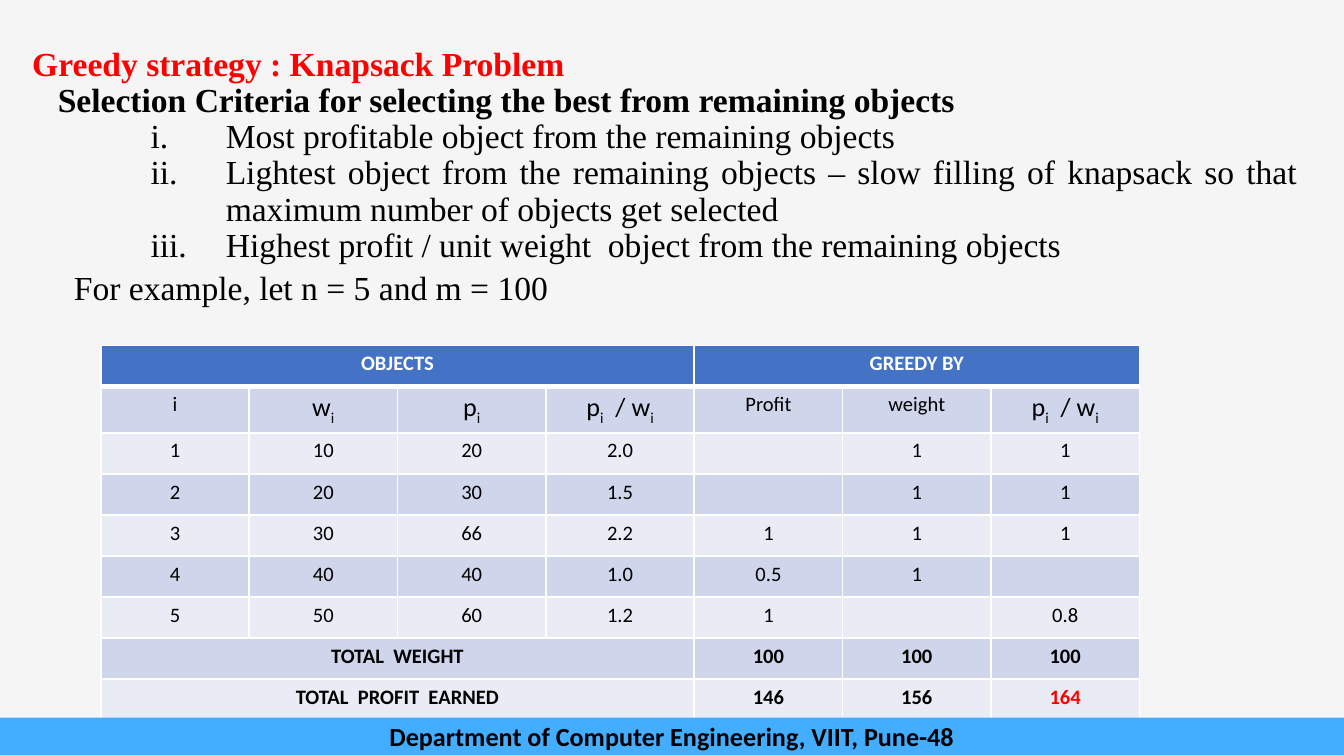
from dataclasses import dataclass

from lxml import etree
from pptx import Presentation
from pptx.dml.color import RGBColor
from pptx.enum.shapes import MSO_SHAPE
from pptx.enum.text import MSO_ANCHOR, PP_ALIGN
from pptx.oxml.ns import qn
from pptx.util import Inches, Pt

RECTANGLE = MSO_SHAPE.RECTANGLE
LEFT, CENTER, JUSTIFY = PP_ALIGN.LEFT, PP_ALIGN.CENTER, PP_ALIGN.JUSTIFY
TOP, MIDDLE = MSO_ANCHOR.TOP, MSO_ANCHOR.MIDDLE


@dataclass(frozen=True)
class Theme:
    background: str = "F5F5F5"
    black: str = "000000"
    white: str = "FFFFFF"
    red: str = "FF0000"
    header: str = "4472C4"
    dark_band: str = "CFD5EA"
    light_band: str = "E9EBF5"
    footer: str = "43AEFF"
    serif: str = "Times New Roman"
    sans: str = "Calibri"
    body_size: int = 18
    large_size: int = 14
    cell_size: int = 11


THEME = Theme()


@dataclass(frozen=True)
class Line:
    text: str
    bold: bool = False
    color: str = THEME.black
    align: PP_ALIGN = JUSTIFY
    margin: float = 0
    indent: float = 0
    before: float = 0
    numbered: bool = False


def criterion(text: str) -> Line:
    return Line(text, margin=1.44, indent=-0.56, numbered=True)


LINES = [
    Line("Greedy strategy : Knapsack Problem", True, THEME.red, LEFT),
    Line("Selection Criteria for selecting the best from remaining objects", True, margin=0.19),
    criterion("Most profitable object from the remaining objects"),
    criterion("Lightest object from the remaining objects – slow filling of knapsack "
              "so that maximum number of objects get selected"),
    criterion("Highest profit / unit weight  object from the remaining objects"),
    Line("For example, let n = 5 and m = 100", margin=0.31, before=3.8),
]

# An underscore marks the next letter as a subscript.
ROWS = [
    ["OBJECTS", "", "", "", "GREEDY BY", "", ""],
    ["i", "w_i", "p_i", "p_i  / w_i", "Profit", "weight", "p_i  / w_i"],
    ["1", "10", "20", "2.0", "", "1", "1"],
    ["2", "20", "30", "1.5", "", "1", "1"],
    ["3", "30", "66", "2.2", "1", "1", "1"],
    ["4", "40", "40", "1.0", "0.5", "1", ""],
    ["5", "50", "60", "1.2", "1", "", "0.8"],
    ["TOTAL  WEIGHT", "", "", "", "100", "100", "100"],
    ["TOTAL  PROFIT  EARNED", "", "", "", "146", "156", "164"],
]
MERGES = [(0, 0, 3), (0, 4, 6), (7, 0, 3), (8, 0, 3)]
TOTAL_ROWS = (7, 8)
BEST_CELL = (8, 6)


def set_font(target, font: str, size: float, color: str, bold: bool = False) -> None:
    for name, value in {"name": font, "size": Pt(size), "bold": bold}.items():
        setattr(target.font, name, value)
    target.font.color.rgb = RGBColor.from_string(color)


def set_fill(target, color: str) -> None:
    target.fill.solid()
    target.fill.fore_color.rgb = RGBColor.from_string(color)


def set_insets(frame, horizontal: float, vertical: float) -> None:
    for side, value in {"left": horizontal, "right": horizontal,
                        "top": vertical, "bottom": vertical}.items():
        setattr(frame, f"margin_{side}", Inches(value))


def add_criteria(slide) -> None:
    box = slide.shapes.add_textbox(Inches(0.17), Inches(0.31), Inches(9.56), Inches(5.11))
    frame = box.text_frame
    frame.word_wrap = True
    frame.vertical_anchor = TOP
    set_insets(frame, 0.07, 0.04)
    for index, line in enumerate(LINES):
        para = frame.add_paragraph() if index else frame.paragraphs[0]
        for name, value in {"alignment": line.align, "line_spacing": 0.9,
                            "space_before": Pt(line.before)}.items():
            setattr(para, name, value)
        properties = para._p.get_or_add_pPr()
        properties.set("marL", str(Inches(line.margin)))
        properties.set("indent", str(Inches(line.indent)))
        if line.numbered:
            etree.SubElement(properties, qn("a:buAutoNum"), type="romanLcPeriod")
        span = para.add_run()
        span.text = line.text
        set_font(span, THEME.serif, THEME.body_size, line.color, line.bold)


def set_borders(cell, bottom_width: float) -> None:
    properties = cell._tc.get_or_add_tcPr()
    widths = {"a:lnL": 1, "a:lnR": 1, "a:lnT": 1, "a:lnB": bottom_width}
    for position, (tag, width) in enumerate(widths.items()):
        border = etree.Element(qn(tag), w=str(Pt(width)))
        fill = etree.SubElement(border, qn("a:solidFill"))
        etree.SubElement(fill, qn("a:srgbClr"), val=THEME.white)
        properties.insert(position, border)


def write_cell(cell, text: str, color: str, bold: bool) -> None:
    """Write text whose underscores mark one-letter subscripts."""
    para = cell.text_frame.paragraphs[0]
    para.alignment = CENTER
    size = THEME.large_size if "_" in text else THEME.cell_size
    set_font(para, THEME.sans, size, color, bold)
    first, *rest = text.split("_")
    pieces = [(first, False)]
    for part in rest:
        pieces += [(part[0], True), (part[1:], False)]
    for piece, subscript in pieces:
        if piece:
            span = para.add_run()
            span.text = piece
            set_font(span, THEME.sans, size, color, bold)
            if subscript:
                span.font._element.set("baseline", "-25000")


def add_objects_table(slide) -> None:
    table = slide.shapes.add_table(len(ROWS), len(ROWS[0]), Inches(0.75), Inches(2.57),
                                   Inches(7.73), Inches(2.75)).table
    for row, first, last in MERGES:
        table.cell(row, first).merge(table.cell(row, last))
    for row, texts in enumerate(ROWS):
        header = row == 0
        band = THEME.dark_band if row % 2 else THEME.light_band
        for column, text in enumerate(texts):
            cell = table.cell(row, column)
            set_fill(cell, THEME.header if header else band)
            set_insets(cell, 0.1, 0.04)
            set_borders(cell, 3 if header else 1)
            color = THEME.white if header else THEME.black
            if (row, column) == BEST_CELL:
                color = THEME.red
            write_cell(cell, text, color, header or row in TOTAL_ROWS)


def add_footer(slide) -> None:
    bar = slide.shapes.add_shape(RECTANGLE, 0, Inches(5.34), Inches(10), Inches(0.28))
    bar.shadow.inherit = False
    set_fill(bar, THEME.footer)
    bar.line.fill.background()
    bar.text_frame.vertical_anchor = MIDDLE
    para = bar.text_frame.paragraphs[0]
    para.alignment = CENTER
    span = para.add_run()
    span.text = "Department of Computer Engineering, VIIT, Pune-48"
    set_font(span, THEME.sans, THEME.large_size, THEME.black, True)


def main() -> None:
    deck = Presentation()
    deck.slide_width = Inches(10)
    deck.slide_height = deck.slide_width * 9 // 16
    slide = deck.slides.add_slide(deck.slide_layouts[6])
    set_fill(slide.background, THEME.background)
    add_criteria(slide)
    add_objects_table(slide)
    add_footer(slide)
    deck.save("out.pptx")


if __name__ == "__main__":
    main()
